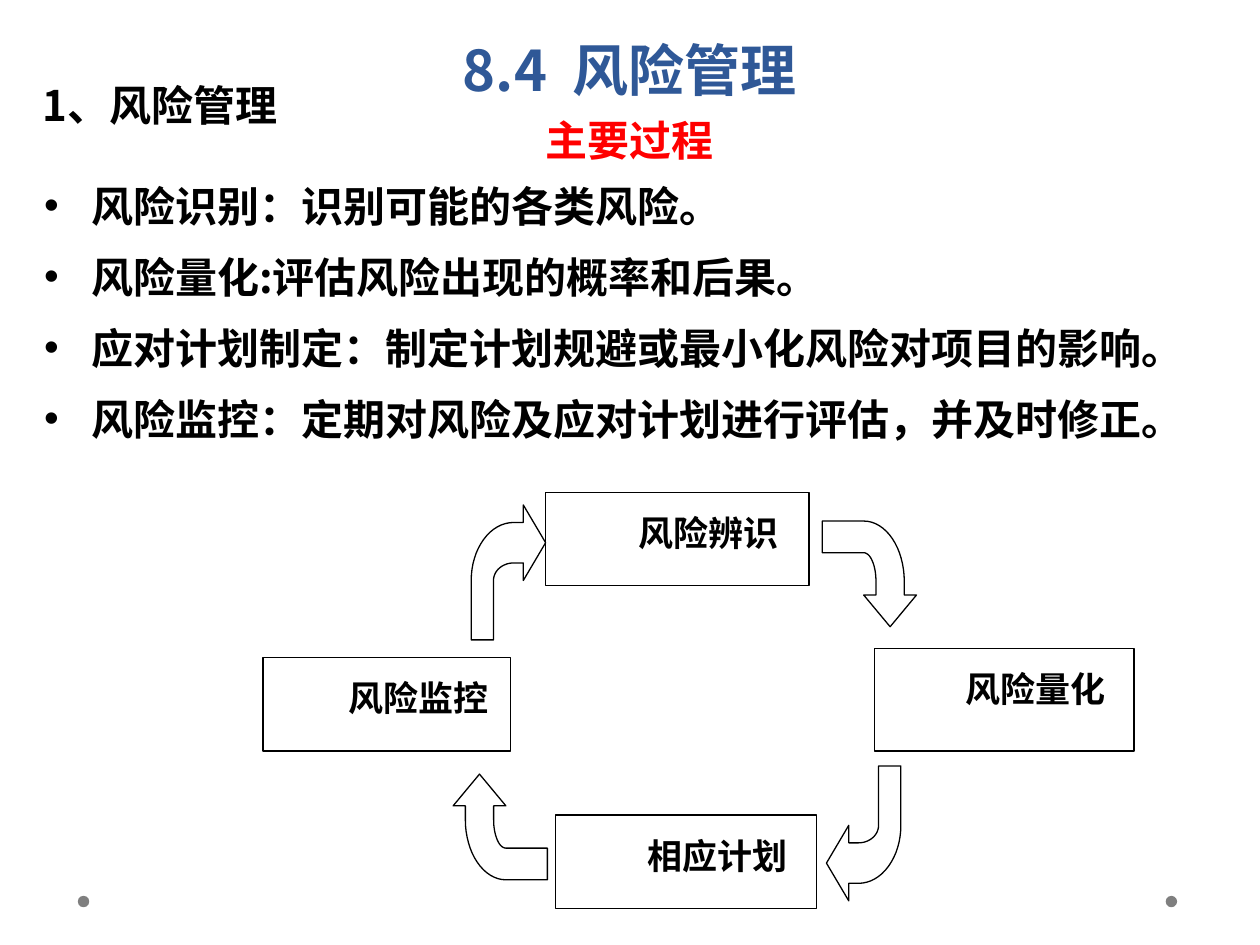
import math
from lxml import etree
from pptx import Presentation
from pptx.dml.color import RGBColor
from pptx.enum import shapes, text
from pptx.oxml.ns import qn
from pptx.util import Cm, Pt

COLORS = {"black": "000000", "white": "FFFFFF", "blue": "2F5897",
          "red": "FF0000", "grey": "7F7F7F"}
SANS, LATIN = "Noto Sans CJK SC", "Calibri"

# Content; boxes are left, top, width, height in cm
TITLE = "8.4  风险管理"
HEADING = "1、风险管理"
SUBTITLE = "主要过程"
PROCESSES = [
    "风险识别：识别可能的各类风险。",
    "风险量化:评估风险出现的概率和后果。",
    "应对计划制定：制定计划规避或最小化风险对项目的影响。",
    "风险监控：定期对风险及应对计划进行评估，并及时修正。",
]
STEPS = [
    ("风险辨识", (11, 9.93, 5.31, 1.88)),
    ("相应计划", (11.2, 16.43, 5.26, 1.88)),
    ("风险监控", (5.3, 13.26, 5, 1.88)),
    ("风险量化", (17.63, 13.08, 5.23, 2.06)),
]
ARROWS = [  # box before rotation, rotation
    ((9.5, 10.18, 1.5, 2.72), 0),
    ((16.46, 10.62, 2.13, 1.9), 90),
    ((16.66, 15.44, 1.5, 2.72), 180),
    ((9.02, 15.72, 2.13, 1.9), 270),
]
DOTS = [(1.57, 18.06, 0.23, 0.23), (23.5, 18.06, 0.23, 0.23)]


def rgb(name):
    return RGBColor.from_string(COLORS[name])


def paint(sp, fill, line=None):
    sp.shadow.inherit = False
    sp.fill.solid()
    sp.fill.fore_color.rgb = rgb(fill)
    if line:
        sp.line.color.rgb = rgb(line)
        sp.line.width = Pt(0.75)
    else:
        sp.line.fill.background()


def write(sp, lines, size=24, font=SANS, color="black", align="LEFT",
          spacing=1.2, before=0, indent=0, bullet=False, wrap=True, top=0.13):
    tf = sp.text_frame
    tf.word_wrap = wrap
    tf.auto_size = text.MSO_AUTO_SIZE.NONE
    tf.vertical_anchor = text.MSO_ANCHOR.TOP
    tf.margin_left = tf.margin_right = Cm(0.25)
    tf.margin_top, tf.margin_bottom = Cm(top), Cm(0.13)
    for i, line in enumerate(lines):
        p = tf.paragraphs[0] if i == 0 else tf.add_paragraph()
        p.alignment = text.PP_ALIGN[align]
        p.line_spacing = spacing
        p.space_before = Pt(before if i else 0)
        pPr = p._p.get_or_add_pPr()
        pPr.set("marL", str(Cm(indent)))
        pPr.set("indent", str(-Cm(indent) if bullet else 0))
        if bullet:
            etree.SubElement(pPr, qn("a:buFont"), typeface="Arial")
            etree.SubElement(pPr, qn("a:buChar"), char="•")
        r = p.add_run()
        r.text = line
        r.font.size, r.font.name, r.font.bold = Pt(size), font, True
        r.font.color.rgb = rgb(color)


def quarter(cx, cy, rx, ry, start, end, steps=16):
    """Points along an elliptical arc, angles in degrees."""
    angles = [math.radians(start + (end - start) * i / steps)
              for i in range(steps + 1)]
    return [(cx + rx * math.cos(a), cy - ry * math.sin(a)) for a in angles]


# Bent arrow in a unit square: head to the right, tail at the bottom left
BENT_ARROW = (
    [(1, 0.28), (0.7, 0), (0.7, 0.13)]
    + quarter(0.57, 0.56, 0.57, 0.43, 90, 180)
    + [(0, 1), (0.3, 1)]
    + quarter(0.57, 0.56, 0.27, 0.13, 180, 90)
    + [(0.7, 0.43), (0.7, 0.56)]
)


def add_arrow(s, box, rotation):
    x, y, w, h = box
    pts = [(Cm(x + w * px), Cm(y + h * py)) for px, py in BENT_ARROW]
    fb = s.shapes.build_freeform(*pts[0])
    fb.add_line_segments(pts[1:], close=True)
    sp = fb.convert_to_shape()
    sp.rotation = rotation
    paint(sp, "white", "black")


def main():
    prs = Presentation()
    prs.slide_width, prs.slide_height = Cm(25.4), Cm(19.05)
    s = prs.slides.add_slide(prs.slide_layouts[5])

    # Title
    sp = s.shapes.title
    sp.left, sp.top, sp.width, sp.height = map(Cm, (1.27, -0.2, 22.86, 2))
    write(sp, [TITLE], size=32, color="blue", align="CENTER",
          spacing=Pt(58), top=0.23)

    # Corner dots
    for box in DOTS:
        sp = s.shapes.add_shape(shapes.MSO_SHAPE.OVAL, *map(Cm, box))
        paint(sp, "grey")

    # Headings and process list
    for box, lines, fmt in [
        ((0.64, 3.3, 24.76, 7.32), PROCESSES,
         dict(before=6, indent=0.95, bullet=True)),
        ((0.61, 1.17, 11.4, 1.57), [HEADING], dict(spacing=1.3)),
        ((10.74, 1.98, 3.89, 1.47), [SUBTITLE], dict(color="red", wrap=False)),
    ]:
        write(s.shapes.add_textbox(*map(Cm, box)), lines, **fmt)

    # Risk cycle
    for name, box in STEPS:
        sp = s.shapes.add_shape(shapes.MSO_SHAPE.RECTANGLE, *map(Cm, box))
        paint(sp, "white", "black")
        write(sp, [name], size=20, font=LATIN, align="CENTER",
              spacing=1.3, indent=1.27)
    for box, rotation in ARROWS:
        add_arrow(s, box, rotation)

    prs.save("out.pptx")


if __name__ == "__main__":
    main()
